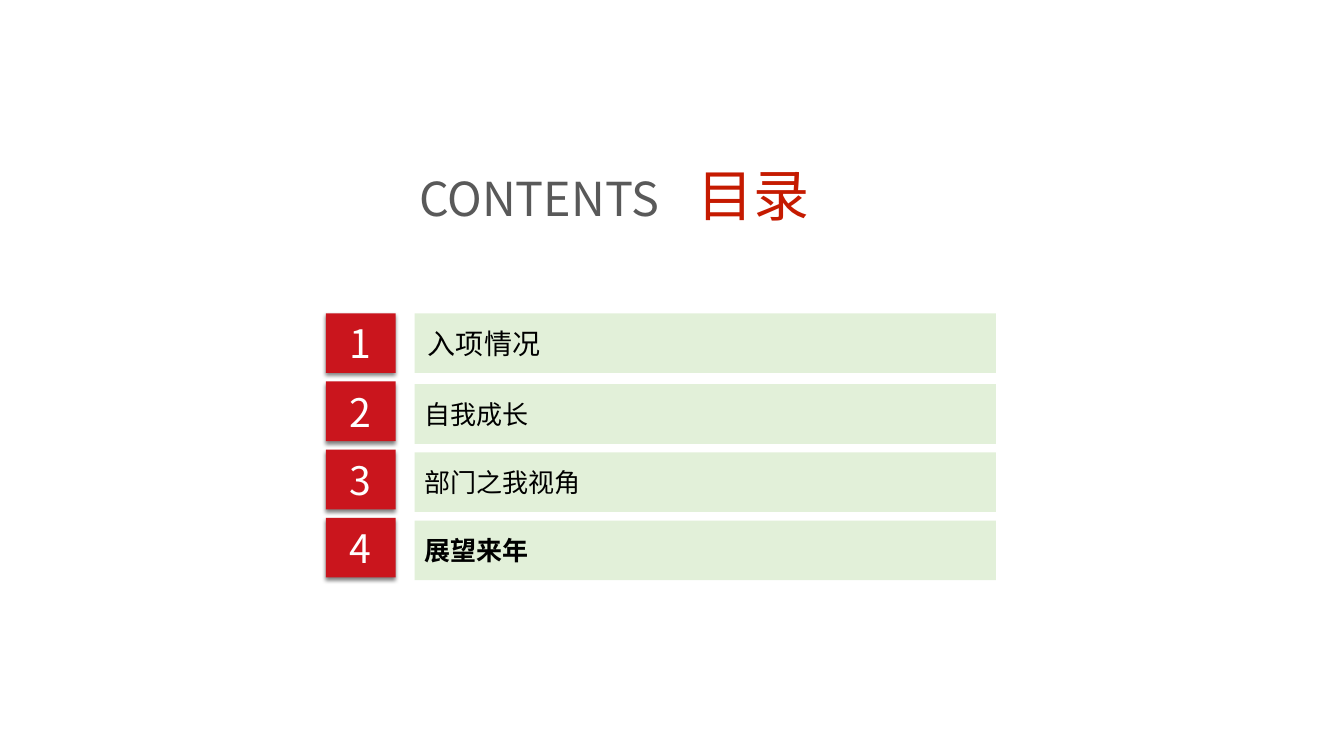
from lxml.etree import SubElement
from pptx import Presentation
from pptx.dml.color import RGBColor
from pptx.enum.shapes import MSO_SHAPE as SHAPE
from pptx.enum.text import MSO_ANCHOR as ANCHOR, PP_ALIGN as ALIGN
from pptx.oxml.ns import qn
from pptx.util import Pt

FONT = "Noto Sans CJK SC"
COLORS = {
    "red": "CA151D",
    "title_red": "C51A00",
    "green": "E2F0D9",
    "grey": "595959",
    "white": "FFFFFF",
    "black": "000000",
}


class ContentsSlide:
    def __init__(self, prs):
        self.s = prs.slides.add_slide(prs.slide_layouts[6])

    def color(self, name):
        return RGBColor.from_string(COLORS[name])

    def style(self, font, size, color, bold=None):
        font.size = Pt(size)
        font.bold = bold
        font.color.rgb = self.color(color)
        font.name = FONT
        # East Asian glyphs take their typeface from a separate element
        SubElement(font._element.find(qn("a:latin")).getparent()
                   if hasattr(font, "_element") else font._rPr,
                   qn("a:ea"), typeface=FONT)

    def insets(self, tf, left, rest):
        tf.margin_left = Pt(left)
        tf.margin_top = tf.margin_right = tf.margin_bottom = Pt(rest)

    def title(self, x, y, w, h, parts, tab):
        """Add a one-line title whose parts are set apart by a tab stop."""
        tf = self.s.shapes.add_textbox(Pt(x), Pt(y), Pt(w), Pt(h)).text_frame
        tf.word_wrap = True
        self.insets(tf, 1.5, 1.5)
        p = tf.paragraphs[0]
        tabs = SubElement(p._p.get_or_add_pPr(), qn("a:tabLst"))
        SubElement(tabs, qn("a:tab"), pos=str(Pt(tab)), algn="l")
        for text, size, color in parts:
            r = p.add_run()
            r.text = text
            self.style(r.font, size, color)

    def box(self, x, y, w, h, fill, text, size, color, inset, rest=3,
            align=ALIGN.LEFT, bold=None):
        sp = self.s.shapes.add_shape(SHAPE.RECTANGLE, Pt(x), Pt(y), Pt(w), Pt(h))
        sp.shadow.inherit = False
        sp.fill.solid()
        sp.fill.fore_color.rgb = self.color(fill)
        sp.line.fill.background()
        tf = sp.text_frame
        tf.word_wrap = True
        tf.vertical_anchor = ANCHOR.MIDDLE
        self.insets(tf, inset, rest)
        p = tf.paragraphs[0]
        p.text = text
        p.alignment = align
        self.style(p.font, size, color, bold)
        return sp

    def drop_shadow(self, sp):
        effects = sp._element.spPr.find(qn("a:effectLst"))
        shadow = SubElement(effects, qn("a:outerShdw"), blurRad=str(Pt(3)),
                            dist=str(Pt(2)), dir="5400000", rotWithShape="0")
        black = SubElement(shadow, qn("a:srgbClr"), val=COLORS["black"])
        SubElement(black, qn("a:alpha"), val="50000")

    def number(self, x, y, w, h, text):
        sp = self.box(x, y, w, h, "red", text, 28, "white", 3, align=ALIGN.CENTER)
        self.drop_shadow(sp)


def main():
    prs = Presentation()
    prs.slide_width, prs.slide_height = Pt(960), Pt(540)
    slide = ContentsSlide(prs)
    slide.title(298, 113, 289.5, 52,
                [("CONTENTS", 33.4, "grey"), ("\t目录", 40, "title_red")], tab=198.5)

    top, pitch, height = 223.8, 48.7, 42.6
    # Topic, text size, left inset, other insets, drop below its number, bold
    topics = [
        ("入项情况", 20, 9.5, 3, 0, None),
        ("自我成长", 18.6, 7, 2.2, 1.9, None),
        ("部门之我视角", 18.6, 7, 2.2, 1.9, None),
        ("展望来年", 18.6, 7, 2.2, 1.9, True),
    ]
    for i, (text, size, inset, rest, drop, bold) in enumerate(topics):
        y = top + i * pitch
        slide.number(232.8, y, 49.8, height, str(i + 1))
        slide.box(296.2, y + drop, 415.2, height, "green", text, size, "black",
                  inset, rest, bold=bold)
    prs.save("out.pptx")


if __name__ == "__main__":
    main()
